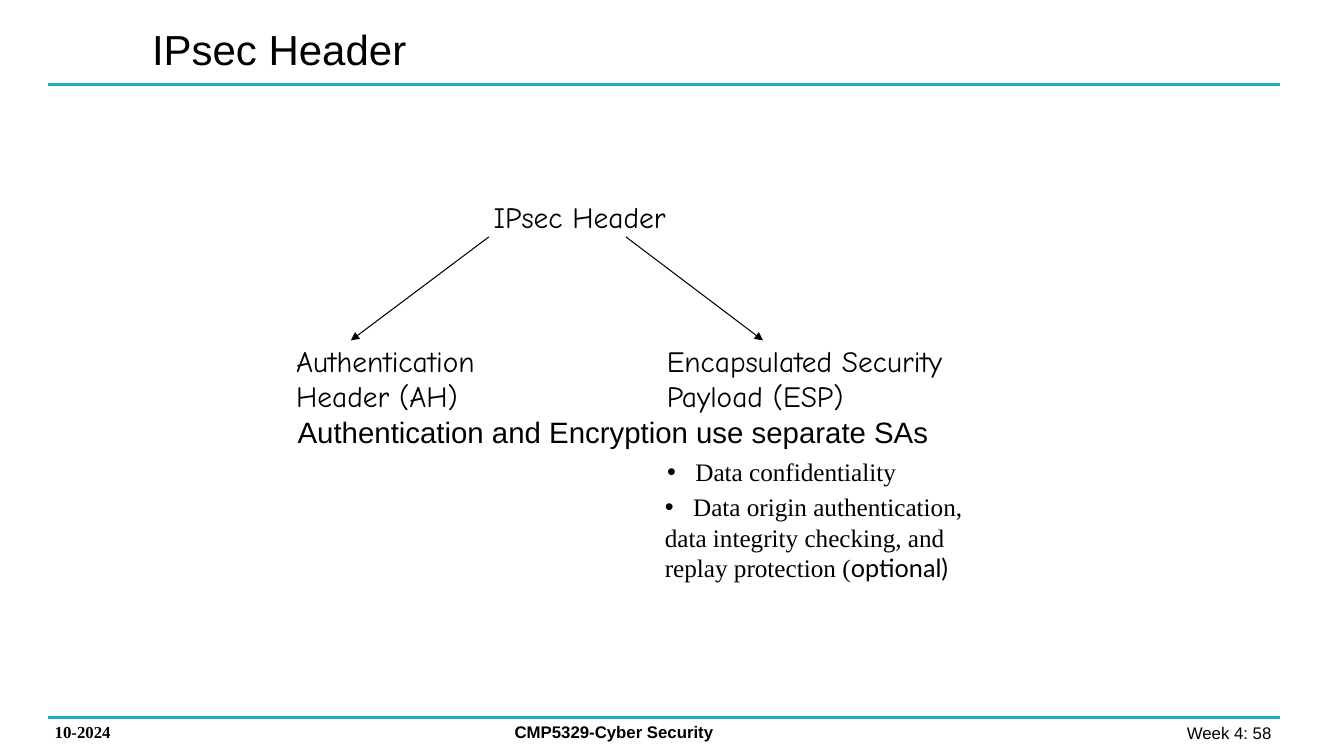
"""Build the IPsec Header slide: a two-branch tree between ruled header and footer."""
from dataclasses import dataclass

from lxml import etree
from pptx import Presentation
from pptx.dml.color import RGBColor
from pptx.enum.shapes import MSO_CONNECTOR
from pptx.enum.text import MSO_ANCHOR, PP_ALIGN
from pptx.oxml.ns import qn
from pptx.util import Pt

STRAIGHT = MSO_CONNECTOR.STRAIGHT
TOP, MIDDLE = MSO_ANCHOR.TOP, MSO_ANCHOR.MIDDLE
LEFT, RIGHT = PP_ALIGN.LEFT, PP_ALIGN.RIGHT


@dataclass(frozen=True)
class Theme:
    ink: RGBColor = RGBColor(0x00, 0x00, 0x00)
    rule: RGBColor = RGBColor(0x16, 0xAF, 0xC2)
    sans: str = "Arial"
    serif: str = "Times New Roman"
    comic: str = "Comic Neue"
    accent: str = "Lato"
    title_size: int = 30
    label_size: int = 21
    bullet_size: int = 18
    footer_size: int = 12


theme = Theme()
presentation = Presentation()
presentation.slide_width, presentation.slide_height = Pt(960), Pt(540)
slide = presentation.slides.add_slide(presentation.slide_layouts[6])


def add_text(box, paragraphs, size, bold=False, insets=(7.2, 3.6),
             align=LEFT, anchor=TOP, spacing=None, bulleted=False):
    """Add a text box whose paragraphs are lists of (text, font) runs."""
    shape = slide.shapes.add_textbox(*(Pt(length) for length in box))
    frame = shape.text_frame
    frame.word_wrap, frame.vertical_anchor = True, anchor
    frame.margin_left = frame.margin_right = Pt(insets[0])
    frame.margin_top = frame.margin_bottom = Pt(insets[1])
    for index, runs in enumerate(paragraphs):
        paragraph = frame.add_paragraph() if index else frame.paragraphs[0]
        paragraph.alignment = align
        if spacing:
            paragraph.line_spacing = Pt(spacing)
        if bulleted and index == 0:
            properties = paragraph._p.get_or_add_pPr()
            properties.set("marL", str(Pt(20.25)))
            properties.set("indent", str(-Pt(20.25)))
            etree.SubElement(properties, qn("a:buFont"), typeface=theme.sans)
            etree.SubElement(properties, qn("a:buChar"), char="•")
        for text, font_name in runs:
            for line_number, line in enumerate(text.split("\n")):
                if line_number:
                    paragraph.add_line_break()
                run = paragraph.add_run()
                run.text = line
                run.font.name, run.font.size = font_name, Pt(size)
                run.font.bold = bold
                run.font.color.rgb = theme.ink


def add_line(start, end, color, width, arrow=False):
    """Draw a straight line, with an arrowhead at its end if asked."""
    connector = slide.shapes.add_connector(
        STRAIGHT, *(Pt(length) for length in (*start, *end)))
    connector.line.color.rgb, connector.line.width = color, Pt(width)
    if arrow:
        etree.SubElement(connector.line._get_or_add_ln(), qn("a:tailEnd"), type="triangle")
    etree.SubElement(connector._element.spPr, qn("a:effectLst"))


for rule_y in (60.5, 512.6):
    add_line((34, rule_y), (914, rule_y), theme.rule, 2.25)

footers = [
    ((707, 512.6, 211.7, 21.6), "Week 4: 58 ", theme.sans, False, RIGHT),
    ((32, 512, 128, 21.6), "10-2024", theme.serif, True, LEFT),
    ((360.5, 512.3, 294.5, 21.6), "CMP5329-Cyber Security", theme.sans, True, LEFT),
]
for box, text, font_name, bold, align in footers:
    add_text(box, [[(text, font_name)]], theme.footer_size, bold=bold, align=align)

add_text((101.5, -0.7, 445.7, 71.3), [[("IPsec Header", theme.sans)]],
         theme.title_size, anchor=MIDDLE)

for start_x, end_x in ((349.2, 250.6), (447.1, 545)):
    add_line((start_x, 169.2), (end_x, 243.2), theme.ink, 0.75, arrow=True)

labels = [
    ((206.6, 243, 150, 56), "Authentication \nHeader (AH)", theme.comic),
    ((471.3, 243, 274.3, 56), "Encapsulated Security \nPayload (ESP)", theme.comic),
    ((207.6, 293.6, 475, 41), "Authentication and Encryption use separate SAs", theme.sans),
    ((347.6, 139.7, 145, 30), "IPsec Header", theme.comic),
]
for box, text, font_name in labels:
    add_text(box, [[(text, font_name)]], theme.label_size, insets=(5, 2.2))

add_text((469.4, 322.2, 180, 28.8), [[("Data confidentiality", theme.serif)]],
         theme.bullet_size, spacing=21.8, bulleted=True)
add_text((467.8, 347.4, 277.9, 72.7),
         [[("Data origin authentication,", theme.serif)],
          [("data integrity checking, and", theme.serif)],
          [("replay protection (", theme.serif), ("optional)", theme.accent)]],
         theme.bullet_size, spacing=21.8, bulleted=True)

presentation.save("out.pptx")
